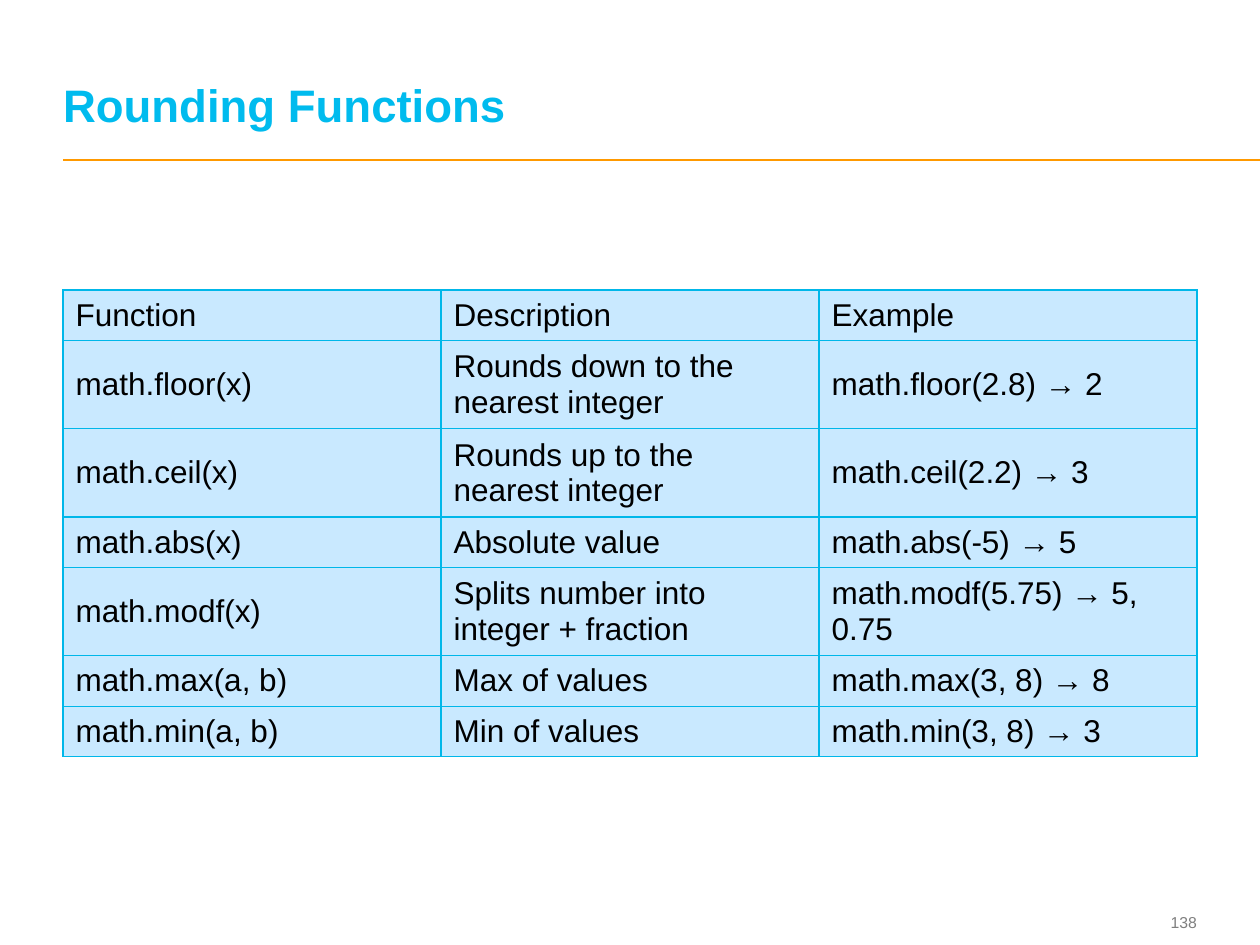
import pptx
import pptx.dml.color
import pptx.enum.shapes
import pptx.enum.text
import pptx.oxml
import pptx.oxml.ns
import pptx.util

PX_PER_INCH = 126
FONT = "Arial"
COLORS = {
    "title": "00BBEE",
    "rule": "FF9900",
    "number": "7F7F7F",
    "cell": "C9E9FF",
    "border": "00B7E9",
    "text": "000000",
}
ROWS = [
    ("Function", "Description", "Example"),
    ("math.floor(x)", "Rounds down to the nearest integer", "math.floor(2.8) → 2"),
    ("math.ceil(x)", "Rounds up to the nearest integer", "math.ceil(2.2) → 3"),
    ("math.abs(x)", "Absolute value", "math.abs(-5) → 5"),
    ("math.modf(x)", "Splits number into integer + fraction", "math.modf(5.75) → 5, 0.75"),
    ("math.max(a, b)", "Max of values", "math.max(3, 8) → 8"),
    ("math.min(a, b)", "Min of values", "math.min(3, 8) → 3"),
]
ROW_HEIGHTS = [48, 83, 83, 48, 83, 48, 48]
COLUMN_WIDTH = 378


def px(length):
    return pptx.util.Emu(round(length * 914400 / PX_PER_INCH))


def rgb(name):
    return pptx.dml.color.RGBColor.from_string(COLORS[name])


def style_runs(paragraph, size, color, bold=False):
    for run in paragraph.runs:
        run.font.name = FONT
        run.font.size = pptx.util.Pt(size)
        run.font.bold = bold
        run.font.color.rgb = rgb(color)


def add_label(slide, text, box, size, color, anchor, align, bold=False):
    label = slide.shapes.add_textbox(*map(px, box))
    frame = label.text_frame
    frame.margin_left = frame.margin_right = 0
    frame.margin_top = frame.margin_bottom = 0
    frame.word_wrap = True
    frame.vertical_anchor = anchor
    frame.text = text
    paragraph = frame.paragraphs[0]
    paragraph.alignment = align
    style_runs(paragraph, size, color, bold)
    return paragraph


def add_rule(slide, left, right, y):
    rule = slide.shapes.add_connector(
        pptx.enum.shapes.MSO_CONNECTOR.STRAIGHT, px(left), px(y), px(right), px(y))
    rule.line.color.rgb = rgb("rule")
    rule.line.width = pptx.util.Pt(1)
    properties = rule._element.spPr
    properties.append(properties.makeelement(pptx.oxml.ns.qn("a:effectLst"), {}))


def add_borders(cell):
    properties = cell._tc.get_or_add_tcPr()
    for position, side in enumerate(("lnL", "lnR", "lnT", "lnB")):
        border = pptx.oxml.parse_xml(
            f'<a:{side} {pptx.oxml.ns.nsdecls("a")} w="{pptx.util.Pt(0.75)}">'
            f'<a:solidFill><a:srgbClr val="{COLORS["border"]}"/></a:solidFill>'
            f'</a:{side}>')
        properties.insert(position, border)


def fill_cell(cell, text):
    cell.text_frame.text = text
    cell.vertical_anchor = pptx.enum.text.MSO_ANCHOR.MIDDLE
    cell.fill.solid()
    cell.fill.fore_color.rgb = rgb("cell")
    style_runs(cell.text_frame.paragraphs[0], 18, "text")
    add_borders(cell)


def add_function_table(slide, left, top):
    column_count = len(ROWS[0])
    table = slide.shapes.add_table(
        len(ROWS), column_count, px(left), px(top),
        px(COLUMN_WIDTH * column_count), px(sum(ROW_HEIGHTS))).table
    table.first_row = False
    table.horz_banding = False
    for column in table.columns:
        column.width = px(COLUMN_WIDTH)
    for row, height, texts in zip(table.rows, ROW_HEIGHTS, ROWS):
        row.height = px(height)
        for cell, text in zip(row.cells, texts):
            fill_cell(cell, text)


def main():
    presentation = pptx.Presentation()
    presentation.slide_width = px(1260)
    presentation.slide_height = px(945)
    slide = presentation.slides.add_slide(presentation.slide_layouts[6])
    anchors = pptx.enum.text.MSO_ANCHOR
    aligns = pptx.enum.text.PP_ALIGN

    add_rule(slide, 63, 1260, 160)
    add_label(slide, "138", (1123, 905, 74, 34), 9, "number",
              anchors.MIDDLE, aligns.RIGHT)
    title = add_label(slide, "Rounding Functions", (63, 24, 1130, 108), 26, "title",
                      anchors.BOTTOM, aligns.LEFT, bold=True)
    title.line_spacing = pptx.util.Pt(26)
    add_function_table(slide, 63, 290)
    presentation.save("out.pptx")


if __name__ == "__main__":
    main()
